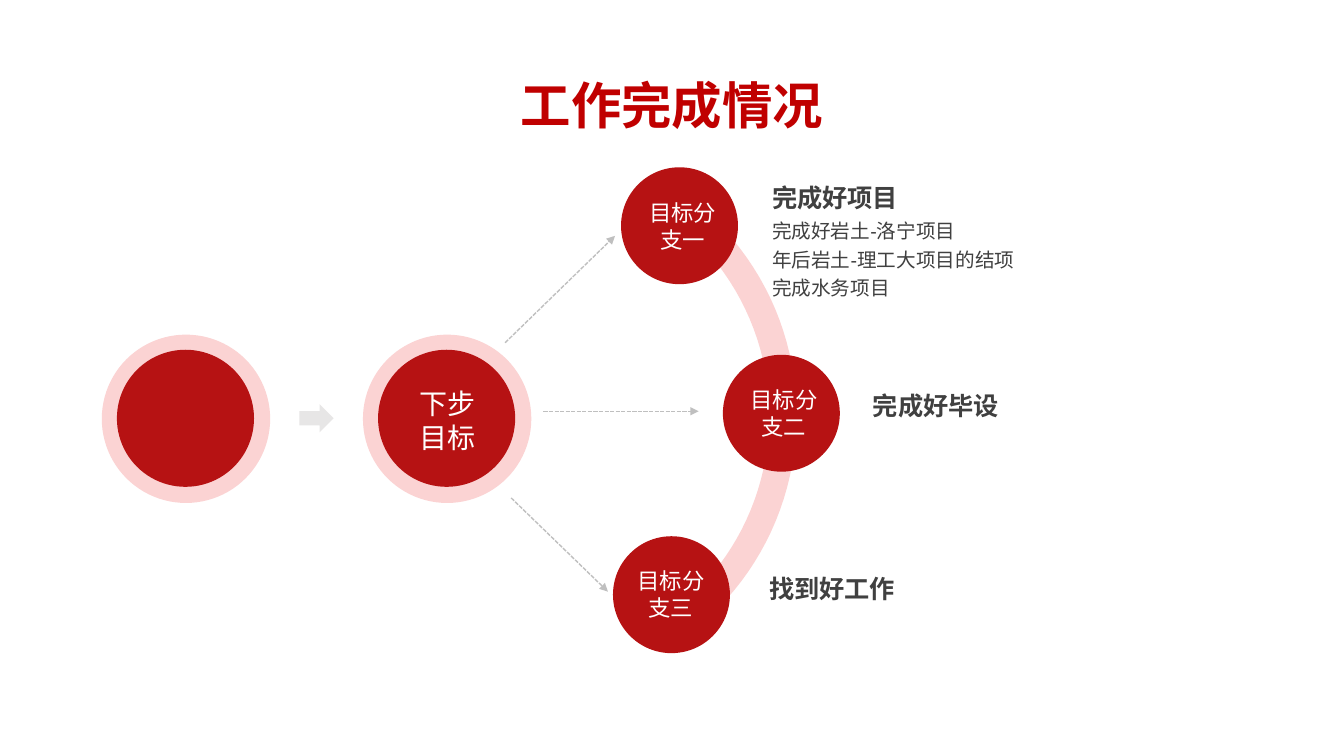
from lxml import etree
from pptx import Presentation
from pptx import util as u
from pptx.dml.color import RGBColor
from pptx.enum import dml, shapes, text
from pptx.oxml.ns import qn

COLORS = {"red": "B61213", "pink": "FBD3D3", "title": "C00000", "white": "FFFFFF",
          "ink": "404040", "dash": "BFBFBF", "arrow": "E7E6E6"}
CJK = "Noto Sans CJK SC"
SHAPE = shapes.MSO_SHAPE
ALIGN = text.PP_ALIGN

deck = Presentation()
deck.slide_width, deck.slide_height = u.Inches(13.33), u.Inches(7.5)
slide = deck.slides.add_slide(deck.slide_layouts[6])


def paint(item, color):
    item.shadow.inherit = False
    item.fill.solid()
    item.fill.fore_color.rgb = RGBColor.from_string(COLORS[color])
    item.line.fill.background()


def write(box, words, size, color, font=CJK, bold=False, align=ALIGN.CENTER, spacing=1.0, wrap=True):
    label = slide.shapes.add_textbox(*[u.Inches(v) for v in box])
    frame = label.text_frame
    frame.word_wrap = wrap
    frame.text = words
    for paragraph in frame.paragraphs:
        paragraph.alignment = align
        paragraph.line_spacing = spacing
        for run in paragraph.runs:
            run.font.size = u.Pt(size)
            run.font.bold = bold
            run.font.name = font
            run.font.color.rgb = RGBColor.from_string(COLORS[color])
            etree.SubElement(run.font._element, qn("a:ea")).set("typeface", CJK)


arc_curves = [[(6.46, 6.22), (7.16, 5.79), (7.63, 5.01), (7.63, 4.12)],
              [(7.63, 4.12), (7.63, 3.22), (7.14, 2.43), (6.42, 2.0)],
              [(6.55, 1.77), (7.36, 2.24), (7.9, 3.12), (7.9, 4.12)],
              [(7.9, 4.12), (7.9, 5.11), (7.38, 5.98), (6.59, 6.45)]]
STEPS = 24
arc_points = []
for curve in arc_curves:
    for step in range(STEPS + 1):
        t = step / STEPS
        weights = [(1 - t) ** 3, 3 * t * (1 - t) ** 2, 3 * t ** 2 * (1 - t), t ** 3]
        arc_points.append([u.Inches(sum(w * p[axis] for w, p in zip(weights, curve))) for axis in (0, 1)])
outline = slide.shapes.build_freeform(*arc_points[0])
outline.add_line_segments(arc_points[1:], close=True)
paint(outline.convert_to_shape(), "pink")

circles = [(1.01, 3.32, 1.67, "pink"), (1.16, 3.47, 1.36, "red"),
           (3.6, 3.32, 1.67, "pink"), (3.75, 3.47, 1.36, "red"),
           (6.16, 1.66, 1.16, "red"), (7.17, 3.52, 1.16, "red"), (6.08, 5.32, 1.16, "red")]
for left, top, size, color in circles:
    circle = slide.shapes.add_shape(SHAPE.OVAL, u.Inches(left), u.Inches(top), u.Inches(size), u.Inches(size))
    paint(circle, color)

step_arrow = slide.shapes.add_shape(SHAPE.RIGHT_ARROW, u.Inches(2.97), u.Inches(4.01), u.Inches(0.34), u.Inches(0.28))
paint(step_arrow, "arrow")

for ends in [(5.01, 3.4, 6.1, 2.34), (5.39, 4.08, 6.93, 4.08), (5.07, 4.94, 6.03, 5.87)]:
    branch = slide.shapes.add_connector(shapes.MSO_CONNECTOR.STRAIGHT, *[u.Inches(v) for v in ends])
    branch.line.color.rgb = RGBColor.from_string(COLORS["dash"])
    branch.line.width = u.Pt(1)
    branch.line.dash_style = dml.MSO_LINE.SQUARE_DOT
    etree.SubElement(branch.line._get_or_add_ln(), qn("a:tailEnd")).set("type", "triangle")
    etree.SubElement(branch._element.spPr, qn("a:effectLst"))

write((3.83, 3.79, 1.22, 0.77), "下步\n目标", 20, "white")
for left, top, width, words in [(6.23, 1.93, 1.08, "目标分支一"), (7.25, 3.78, 1.05, "目标分支二"),
                                (6.13, 5.58, 1.05, "目标分支三")]:
    write((left, top, width, 0.64), words, 16, "white")

for left, top, words in [(7.56, 1.7, "完成好项目"), (8.56, 3.76, "完成好毕设"), (7.53, 5.58, "找到好工作")]:
    write((left, top, 2.45, 0.43), words, 18, "ink", "Arial", True, ALIGN.JUSTIFY, 1.2)
write((7.56, 2.08, 4.6, 0.95), "完成好岩土-洛宁项目\n年后岩土-理工大项目的结项\n完成水务项目",
      14, "ink", "Arial", False, ALIGN.JUSTIFY, 1.2)
write((5.05, 0.69, 3.23, 0.71), "工作完成情况", 36, "title", "Arial", True, wrap=False)

deck.save("out.pptx")
